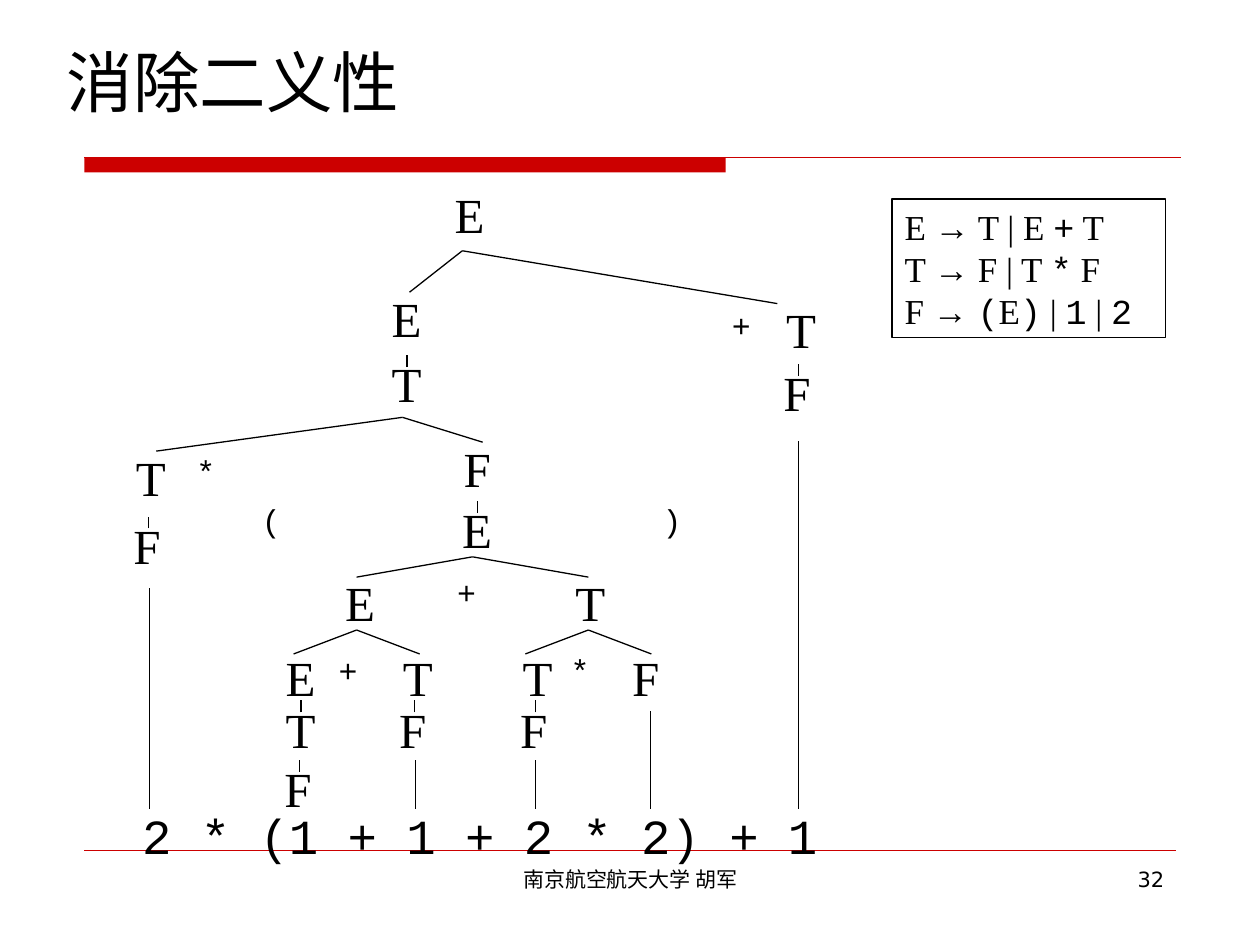
from dataclasses import dataclass

from lxml.etree import SubElement
from pptx import Presentation
from pptx.dml.color import RGBColor
from pptx.enum.shapes import MSO_CONNECTOR, MSO_SHAPE
from pptx.enum.text import MSO_ANCHOR, PP_ALIGN
from pptx.oxml.ns import qn
from pptx.util import Pt


@dataclass(frozen=True)
class Theme:
    ink: RGBColor = RGBColor(0x00, 0x00, 0x00)
    accent: RGBColor = RGBColor(0xCC, 0x00, 0x00)
    heading: str = "DejaVu Sans"
    symbol: str = "Times New Roman"
    arrow: str = "Arial"
    token: str = "Courier New"
    title_size: int = 38
    node_size: int = 28
    grammar_size: int = 20
    operator_size: int = 18
    footer_size: int = 12
    line: float = 0.75
    hairline: float = 0.25


THEME = Theme()

# Content: all positions are (left, top) in points
TITLE = "消除二义性"
SENTENCE = "2 * (1 + 1 + 2 * 2) + 1"
FOOTERS = [
    ("南京航空航天大学 胡军", 246.2, 228.2, PP_ALIGN.CENTER),
    ("32", 516.2, 156.2, PP_ALIGN.RIGHT),
]
S, A, K = THEME.symbol, THEME.arrow, THEME.token
GRAMMAR = [
    [("E ", S), ("→", A), (" T | E ", S), ("+", K), (" T", S)],
    [("T ", S), ("→", A), (" F | T ", S), ("*", K), (" F", S)],
    [("F ", S), ("→ ", A), ("(", K), ("E", S), (")", K),
     (" | ", S), ("1", K), (" | ", S), ("2", K)],
]

# Nodes reached through a fork, and the root
FORK_NODES = [
    ("E", 252.7, 102.2),
    ("E", 216.7, 161.3), ("T", 442.1, 167.8),
    ("T", 70.6, 252), ("F", 257.8, 247),
    ("E", 190.1, 323.5), ("T", 321.8, 323.8),
    ("E", 156.2, 366.5), ("T", 223.2, 366.5),
    ("T", 291.6, 366.5), ("F", 354.2, 366.5),
]
# Nodes that are an only child, with a short tick above
SINGLE_NODES = [
    ("T", 216.7, 198.7), ("F", 440.6, 203.8),
    ("F", 69.1, 290.9), ("E", 257, 282.2),
    ("T", 156.2, 396), ("F", 221, 396), ("F", 290.2, 396),
    ("F", 155.5, 429.8),
]
NARROW, WIDE = 25.2, 36
OPERATORS = [
    ("+", 411.1, 171.4, NARROW), ("*", 105.1, 254.9, NARROW),
    ("(", 142.6, 283, NARROW), (")", 371.5, 283, NARROW),
    ("+", 254.2, 324, WIDE),
    ("+", 186.5, 368.6, WIDE), ("*", 319, 368.6, WIDE),
]
# Apex, left foot, right foot
FORKS = [
    ((264.2, 143.3), (234, 167), (444.2, 173.5)),
    ((230, 238.5), (89.3, 257.8), (275.8, 252.7)),
]
# Apex, half spread, drop
EVEN_FORKS = [
    ((270, 318.2), 66.2, 11.6),
    ((203.8, 360), 36, 13.7),
    ((336.2, 360), 36, 13.7),
]
# Stems down to the sentence: x and top
STEMS = [(85.3, 336.2), (237.6, 434.2), (306, 434.2), (371.9, 406.1), (456.1, 252)]
STEM_FOOT = 462.2
NODE_WIDTH, NODE_HEIGHT = 31.7, 41
TICK_RIGHT, TICK_DOWN, TICK_LENGTH = 15.8, 4.3, 6.8

deck = Presentation()
deck.slide_width, deck.slide_height = Pt(720), Pt(540)
slide = deck.slides.add_slide(deck.slide_layouts[5])


def set_font(font, size, face):
    font.size, font.name = Pt(size), face
    font.color.rgb = THEME.ink


def add_line(start, end, color=THEME.ink, width=THEME.line):
    line = slide.shapes.add_connector(
        MSO_CONNECTOR.STRAIGHT, *(Pt(v) for v in (*start, *end)))
    line.line.color.rgb = color
    line.line.width = Pt(width)
    SubElement(line.element.spPr, qn("a:effectLst"))


def add_label(text, left, top, width, height, size, face, align=None, wrap=False):
    label = slide.shapes.add_textbox(Pt(left), Pt(top), Pt(width), Pt(height))
    label.text_frame.word_wrap = wrap
    paragraph = label.text_frame.paragraphs[0]
    paragraph.text = text
    paragraph.alignment = align
    set_font(paragraph.font, size, face)


def add_rectangle(left, top, width, height):
    rectangle = slide.shapes.add_shape(
        MSO_SHAPE.RECTANGLE, Pt(left), Pt(top), Pt(width), Pt(height))
    rectangle.shadow.inherit = False
    return rectangle


# Title
title = slide.shapes.title
title.left, title.top, title.width, title.height = Pt(31), Pt(20.2), Pt(658), Pt(51.8)
title.text_frame.text = TITLE
title.text_frame.vertical_anchor = MSO_ANCHOR.MIDDLE
heading = title.text_frame.paragraphs[0]
heading.alignment = PP_ALIGN.LEFT
set_font(heading.font, THEME.title_size, THEME.heading)

# Rules under the title and above the footer
bar = add_rectangle(48.2, 90, 366.5, 8.6)
bar.fill.solid()
bar.fill.fore_color.rgb = THEME.accent
bar.line.fill.background()
add_line((48.2, 90), (674.6, 90), THEME.accent)
add_line((48.2, 486), (671.8, 486), THEME.accent, THEME.hairline)

# Sentence at the foot of the tree
add_label(SENTENCE, 74.2, 456.5, 400.3, NODE_HEIGHT, THEME.node_size, THEME.token)

# Grammar box
grammar = add_rectangle(509.8, 113.8, 156.2, 79.2)
grammar.fill.background()
grammar.line.color.rgb = THEME.ink
grammar.line.width = Pt(THEME.line)
frame = grammar.text_frame
frame.word_wrap = True
frame.vertical_anchor = MSO_ANCHOR.TOP
for index, production in enumerate(GRAMMAR):
    paragraph = frame.add_paragraph() if index else frame.paragraphs[0]
    paragraph.alignment = PP_ALIGN.LEFT
    for text, face in production:
        run = paragraph.add_run()
        run.text = text
        set_font(run.font, THEME.grammar_size, face)

# Tree lines
even_forks = [((x, y), (x - spread, y + drop), (x + spread, y + drop))
              for (x, y), spread, drop in EVEN_FORKS]
for apex, *feet in FORKS + even_forks:
    for foot in feet:
        add_line(foot, apex)
for symbol, left, top in SINGLE_NODES:
    x, y = left + TICK_RIGHT, top + TICK_DOWN
    add_line((x, y + TICK_LENGTH), (x, y))
for x, top in STEMS:
    add_line((x, STEM_FOOT), (x, top))

# Tree symbols and operators
for symbol, left, top in FORK_NODES + SINGLE_NODES:
    add_label(symbol, left, top, NODE_WIDTH, NODE_HEIGHT, THEME.node_size, THEME.symbol)
for operator, left, top, width in OPERATORS:
    add_label(operator, left, top, width, 28.8, THEME.operator_size, THEME.token)

# Footer
for text, left, width, align in FOOTERS:
    add_label(text, left, 491.8, width, 37.4, THEME.footer_size, THEME.heading, align, True)

deck.save("out.pptx")
